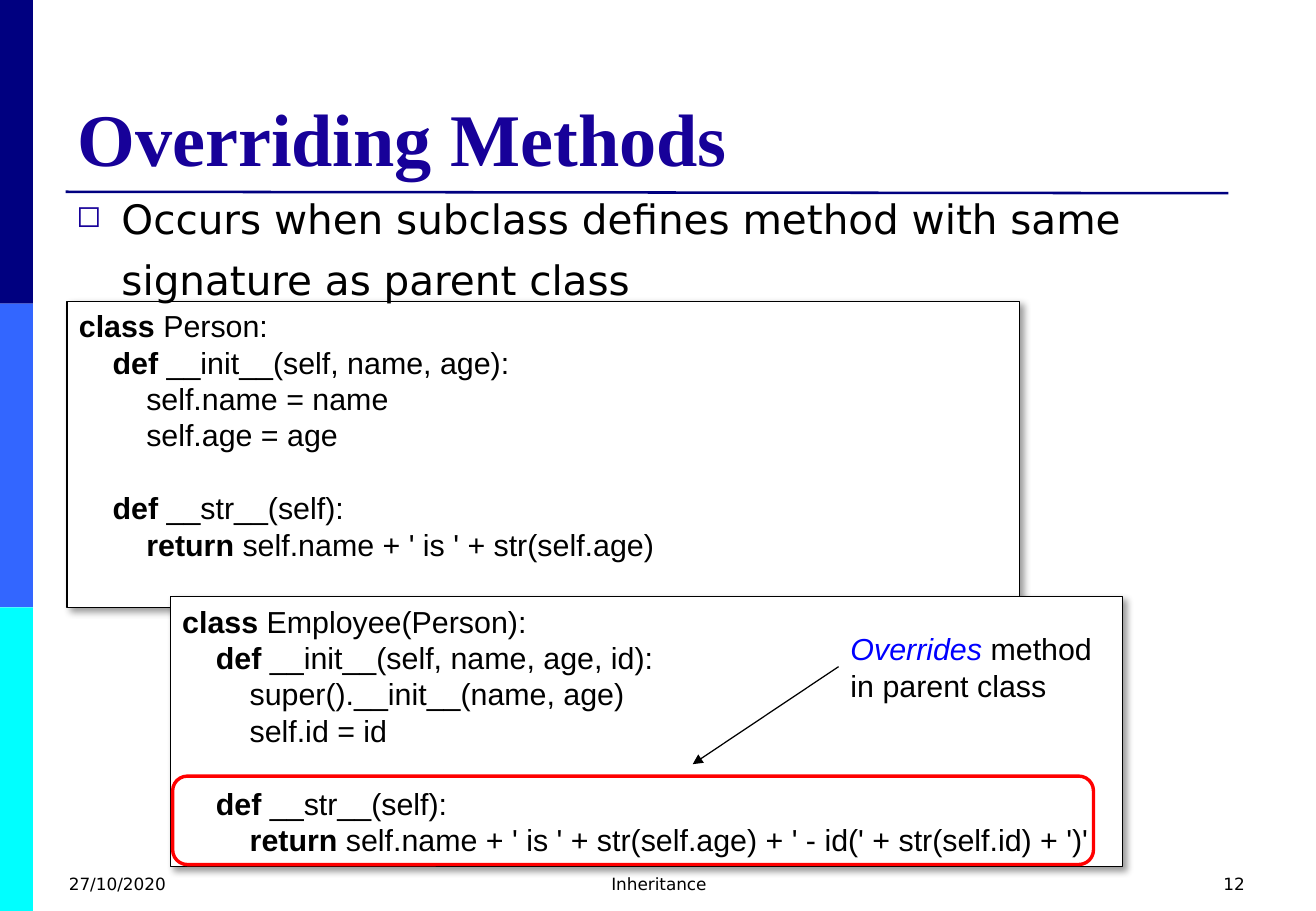
"""Build the slide on overriding methods in a subclass."""
from dataclasses import dataclass

from lxml import etree
from pptx import Presentation
from pptx.dml.color import RGBColor
from pptx.enum.shapes import MSO_CONNECTOR, MSO_SHAPE
from pptx.enum.text import MSO_ANCHOR, PP_ALIGN
from pptx.oxml.ns import qn
from pptx.util import Cm, Pt

RECTANGLE, ROUNDED = MSO_SHAPE.RECTANGLE, MSO_SHAPE.ROUNDED_RECTANGLE
STRAIGHT = MSO_CONNECTOR.STRAIGHT
TOP, BOTTOM = MSO_ANCHOR.TOP, MSO_ANCHOR.BOTTOM
LEFT, CENTER, RIGHT = PP_ALIGN.LEFT, PP_ALIGN.CENTER, PP_ALIGN.RIGHT

CODE_FONT, BODY_FONT, TITLE_FONT = "Arial", "DejaVu Sans", "Times New Roman"
BLACK, WHITE, NAVY, INDIGO = "000000", "FFFFFF", "000080", "170199"
KEYWORDS = ("class", "def", "return")
CODE_LINE = 21.6


@dataclass
class Box:
    left: float
    top: float
    width: float
    height: float

    def lengths(self):
        return Cm(self.left), Cm(self.top), Cm(self.width), Cm(self.height)


@dataclass
class Label:
    text: str
    box: Box
    font: str
    size: float
    color: str = BLACK
    bold: bool = False
    align: PP_ALIGN = LEFT
    anchor: MSO_ANCHOR = TOP


@dataclass
class Listing:
    box: Box
    blocks: tuple


PERSON = Listing(Box(1.4, 6.3, 19.91, 6.4), (
    ("class Person:",
     "    def __init__(self, name, age):",
     "        self.name = name",
     "        self.age = age"),
    ("    def __str__(self):",
     "        return self.name + ' is ' + str(self.age)"),
))
EMPLOYEE = Listing(Box(3.56, 12.48, 19.91, 5.64), (
    ("class Employee(Person):",
     "    def __init__(self, name, age, id):",
     "        super().__init__(name, age)",
     "        self.id = id"),
    ("    def __str__(self):",
     "        return self.name + ' is ' + str(self.age) + ' - id(' + str(self.id) + ')'"),
))
TITLE = Label("Overriding Methods", Box(1.37, 0.76, 24.77, 3.15), TITLE_FONT, 44,
              INDIGO, bold=True, anchor=BOTTOM)
DEFINITION = Label(
    "Occurs when subclass defines method with same signature as parent class",
    Box(1.35, 3.68, 24.77, 2.62), BODY_FONT, 24)
FOOTERS = (
    Label("27/10/2020", Box(1.19, 18.14, 6.43, 0.91), BODY_FONT, 10),
    Label("Inheritance", Box(9.42, 18.14, 8.71, 0.91), BODY_FONT, 10, align=CENTER),
    Label("12", Box(19.84, 18.14, 6.43, 0.91), BODY_FONT, 10, align=RIGHT),
)


def rgb(color: str) -> RGBColor:
    return RGBColor.from_string(color)


def style_font(font, name: str, size: float, color: str) -> None:
    font.name, font.size = name, Pt(size)
    font.color.rgb = rgb(color)


def add_panel(slide, box: Box, fill="", line="", weight=0.75, kind=RECTANGLE):
    panel = slide.shapes.add_shape(kind, *box.lengths())
    panel.shadow.inherit = False
    if fill:
        panel.fill.solid()
        panel.fill.fore_color.rgb = rgb(fill)
    else:
        panel.fill.background()
    if line:
        panel.line.color.rgb = rgb(line)
        panel.line.width = Pt(weight)
    else:
        panel.line.fill.background()
    return panel


def add_line(slide, start: tuple, end: tuple, color: str, weight: float):
    line = slide.shapes.add_connector(STRAIGHT, *map(Cm, start + end))
    line.line.color.rgb = rgb(color)
    line.line.width = Pt(weight)
    etree.SubElement(line._element.spPr, qn("a:effectLst"))
    return line


def add_label(slide, label: Label):
    frame = slide.shapes.add_textbox(*label.box.lengths()).text_frame
    frame.word_wrap = True
    frame.vertical_anchor = label.anchor
    paragraph = frame.paragraphs[0]
    paragraph.text = label.text
    paragraph.alignment = label.align
    style_font(paragraph.font, label.font, label.size, label.color)
    paragraph.font.bold = label.bold
    return paragraph


def add_bulleted(slide, label: Label) -> None:
    paragraph = add_label(slide, label)
    paragraph.line_spacing = 1.25
    properties = paragraph._p.get_or_add_pPr()
    properties.set("marL", str(Cm(0.94)))
    properties.set("indent", str(-Cm(0.94)))
    bullet_color = etree.Element(qn("a:buClr"))
    etree.SubElement(bullet_color, qn("a:srgbClr"), val=INDIGO)
    bullet_size = etree.Element(qn("a:buSzPct"), val="75000")
    bullet = etree.Element(qn("a:buChar"), char="◻")
    position = list(properties).index(properties.find(qn("a:lnSpc"))) + 1
    properties[position:position] = [bullet_color, bullet_size, bullet]


def add_drop_shadow(panel) -> None:
    effects = panel._element.spPr.find(qn("a:effectLst"))
    shadow = etree.SubElement(effects, qn("a:outerShdw"), blurRad=str(Pt(4)),
                              dist=str(Pt(3)), dir="2700000", algn="tl", rotWithShape="0")
    tint = etree.SubElement(shadow, qn("a:srgbClr"), val=BLACK)
    etree.SubElement(tint, qn("a:alpha"), val="40000")


def add_code_line(paragraph, line: str) -> None:
    word = line.split()[0]
    if word not in KEYWORDS:
        paragraph.add_run().text = line
        return
    indent, rest = line.split(word, 1)
    if indent:
        paragraph.add_run().text = indent
    keyword = paragraph.add_run()
    keyword.text = word
    keyword.font.bold = True
    paragraph.add_run().text = rest


def add_listing(slide, listing: Listing) -> None:
    panel = add_panel(slide, listing.box, WHITE, BLACK)
    add_drop_shadow(panel)
    frame = panel.text_frame
    frame.word_wrap = True
    frame.vertical_anchor = TOP
    for number, block in enumerate(listing.blocks):
        paragraph = frame.add_paragraph() if number else frame.paragraphs[0]
        paragraph.alignment = LEFT
        if number:
            paragraph.space_before = Pt(CODE_LINE)
        style_font(paragraph.font, CODE_FONT, 18, BLACK)
        for row, line in enumerate(block):
            if row:
                paragraph.add_line_break()
            add_code_line(paragraph, line)


def add_override_note(slide) -> None:
    frame = slide.shapes.add_textbox(*Box(17.53, 13.06, 5.79, 1.8).lengths()).text_frame
    frame.word_wrap = False
    first, second = frame.paragraphs[0], frame.add_paragraph()
    for paragraph in (first, second):
        style_font(paragraph.font, CODE_FONT, 18, BLACK)
    overrides = first.add_run()
    overrides.text = "Overrides"
    overrides.font.italic = True
    overrides.font.color.rgb = rgb("0000FF")
    first.add_run().text = " method"
    second.text = "in parent class"
    arrow = add_line(slide, (17.53, 13.94), (14.48, 15.98), BLACK, 0.75)
    etree.SubElement(arrow.line._get_or_add_ln(), qn("a:tailEnd"), type="triangle")


def main() -> None:
    deck = Presentation()
    deck.slide_width, deck.slide_height = Cm(27.51), Cm(19.05)
    slide = deck.slides.add_slide(deck.slide_layouts[6])
    for band, color in enumerate((NAVY, "3366FF", "00FFFF")):
        add_panel(slide, Box(0, band * 6.35, 0.69, 6.35), color)
    add_line(slide, (1.37, 4.01), (25.68, 4.04), NAVY, 1.5)
    for listing in (PERSON, EMPLOYEE):
        add_listing(slide, listing)
    add_label(slide, TITLE)
    add_bulleted(slide, DEFINITION)
    for footer in FOOTERS:
        add_label(slide, footer)
    add_override_note(slide)
    add_panel(slide, Box(3.61, 16.23, 19.25, 1.85), line="FF0000", weight=2, kind=ROUNDED)
    deck.save("out.pptx")


if __name__ == "__main__":
    main()
